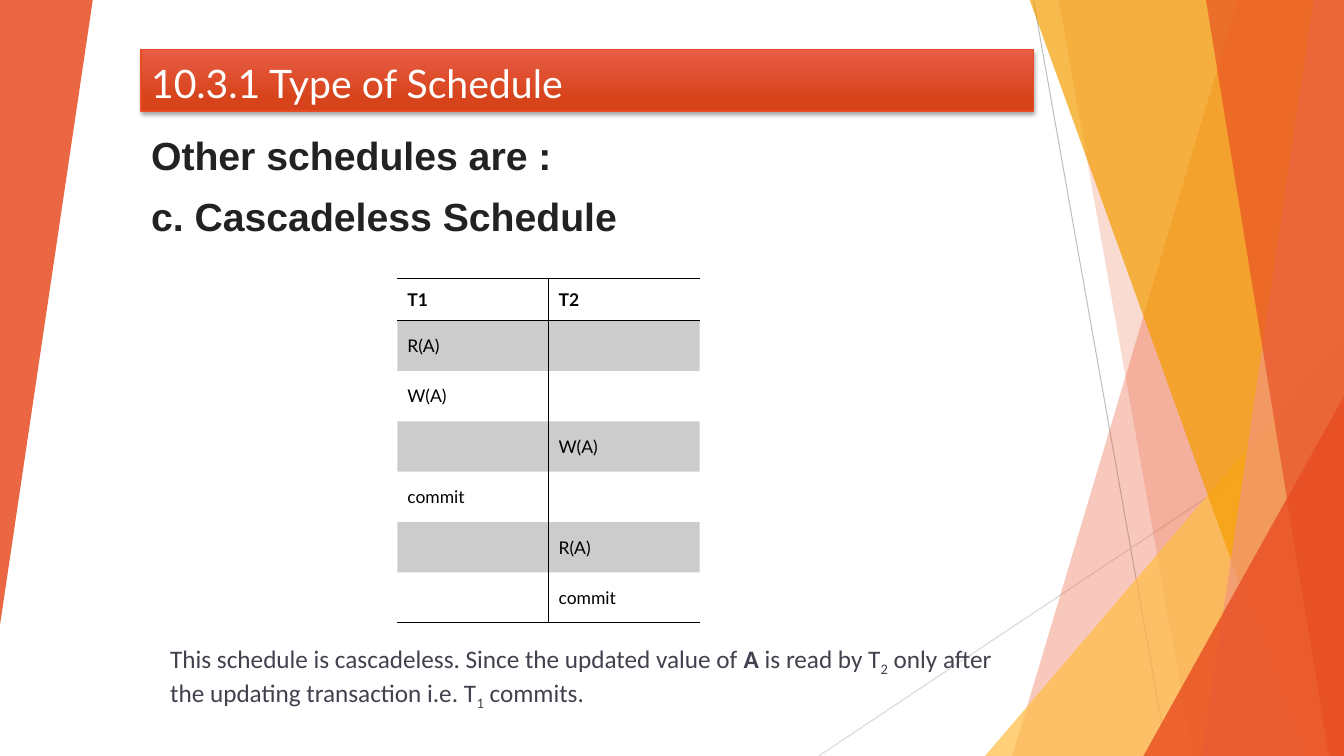
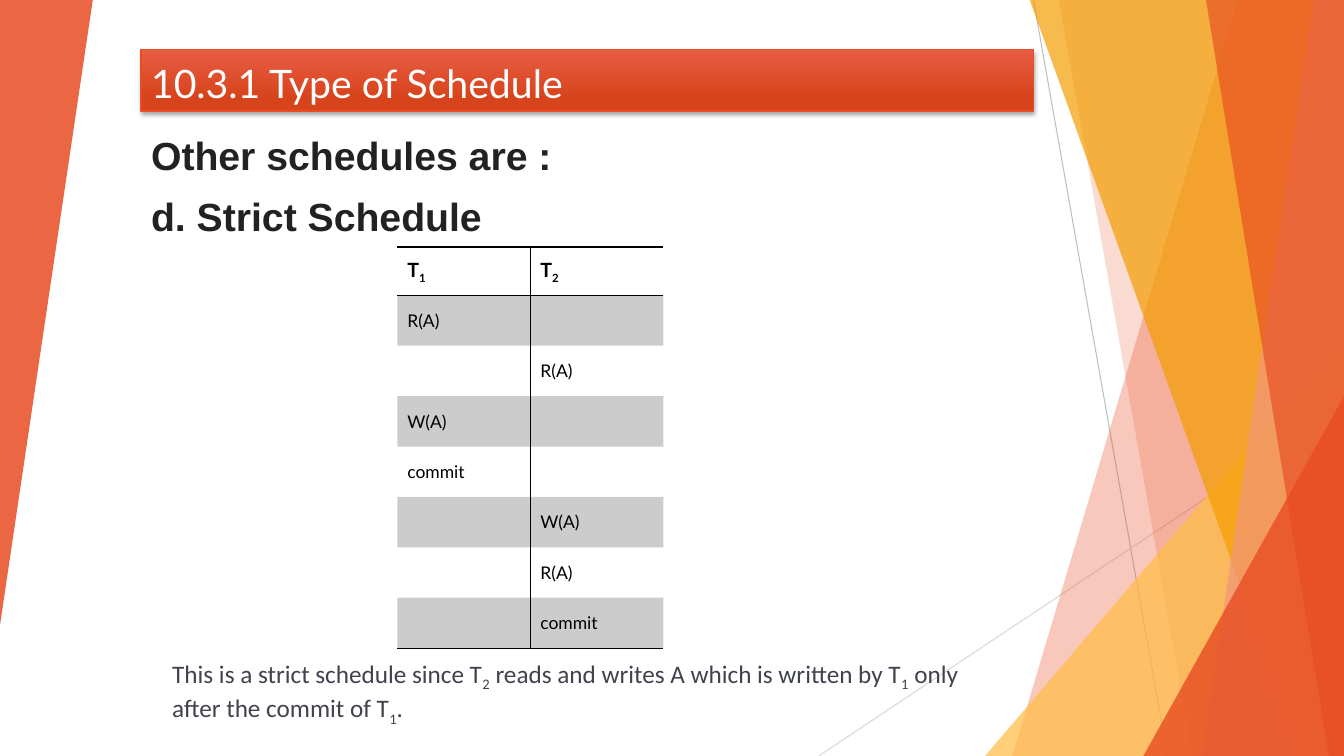
"""Build two slides on types of schedule."""
from dataclasses import dataclass

from lxml.etree import SubElement
from pptx import Presentation
from pptx.dml.color import RGBColor as RGB
from pptx.enum.shapes import MSO_CONNECTOR as Connector, MSO_SHAPE as Shape
from pptx.enum.text import MSO_ANCHOR as Anchor, PP_ALIGN as Align
from pptx.oxml.ns import qn
from pptx.util import Inches, Pt


@dataclass(frozen=True)
class Theme:
    """Colours, fonts and type sizes shared by the slides."""
    red: str = "E84C22"
    amber: str = "F49D00"
    light_amber: str = "FFBD47"
    salmon: str = "F1947A"
    title_top: str = "E95D45"
    title_bottom: str = "D7441C"
    white: str = "FFFFFF"
    black: str = "000000"
    heading: str = "222222"
    caption: str = "40424E"
    dark_rule: str = "BFBFBF"
    light_rule: str = "D9D9D9"
    title_font: str = "Lato"
    heading_font: str = "Arial"
    caption_font: str = "Calibri"
    title_size: float = 28
    caption_size: float = 18
    header_size: float = 14
    cell_size: float = 12.5


THEME = Theme()
WIDTH, HEIGHT = 13.33, 7.5
TABLE_STYLE = "{2D5ABB26-0587-4C30-8999-92F81FD0307C}"

RULES = [
    ((10.25, 0), (11.58, HEIGHT), THEME.dark_rule),
    ((WIDTH, 4.03), (8.12, HEIGHT), THEME.light_rule),
]
FACETS_BEHIND = [
    (12.28, WIDTH, 10.04, THEME.red, 30),
    (10.5, WIDTH, 11.83, THEME.red, 20),
]
FACETS_FRONT = [
    (10.21, WIDTH, 12.91, THEME.amber, 70),
    (13.03, WIDTH, 11.92, THEME.salmon, 70),
    (11.96, WIDTH, 13.18, THEME.red, 65),
]


def set_values(target, values):
    """Set each named attribute on the target."""
    for name, value in values.items():
        setattr(target, name, value)


def inches(box):
    """Turn a box of numbers into lengths."""
    return [Inches(value) for value in box]


def fill_solid(fill, properties, color, opacity):
    """Fill with a colour at an opacity in percent."""
    fill.solid()
    fill.fore_color.rgb = RGB.from_string(color)
    color_element = properties.find(qn("a:solidFill"))[0]
    SubElement(color_element, qn("a:alpha"), val=str(opacity * 1000))


def write_runs(paragraph, runs, font, size, color, bold=False):
    """Write (text, style) runs, where style is plain, bold or sub."""
    for text, style in runs:
        run = paragraph.add_run()
        run.text = text
        set_values(run.font, {"name": font, "size": Pt(size),
                              "bold": bold or style == "bold"})
        run.font.color.rgb = RGB.from_string(color)
        if style == "sub":
            run.font._element.set("baseline", "-25000")


def plain(text):
    """Make a single plain run."""
    return [(text, "plain")]


def subscripted(text, number):
    """Make a text with a subscript number."""
    return [(text, "plain"), (number, "sub")]


def add_rule(slide, start, end, color):
    """Draw a thin straight line."""
    line = slide.shapes.add_connector(Connector.STRAIGHT, *inches(start + end))
    line.line.width = Pt(0.75)
    line.line.color.rgb = RGB.from_string(color)
    SubElement(line._element.spPr, qn("a:effectLst"))


def finish_facet(shape, color, opacity):
    """Give a facet its translucent fill without line or shadow."""
    fill_solid(shape.fill, shape._element.spPr, color, opacity)
    shape.line.fill.background()
    shape.shadow.inherit = False


def add_facet(slide, top_left, right, bottom_left, color, opacity):
    """Draw a full-height facet with a slanted left edge."""
    builder = slide.shapes.build_freeform(Inches(top_left), Inches(-0.01))
    corners = [(right, -0.01), (right, HEIGHT), (bottom_left, HEIGHT)]
    builder.add_line_segments([inches(corner) for corner in corners])
    finish_facet(builder.convert_to_shape(), color, opacity)


def add_triangle(slide, box, color, opacity, rotation=0):
    """Draw a right-angled triangle."""
    shape = slide.shapes.add_shape(Shape.ISOSCELES_TRIANGLE, *inches(box))
    shape.adjustments[0] = 1
    shape.rotation = rotation
    finish_facet(shape, color, opacity)


def add_backdrop(slide):
    """Draw the facets at both slide edges."""
    for rule in RULES:
        add_rule(slide, *rule)
    for facet in FACETS_BEHIND:
        add_facet(slide, *facet)
    add_triangle(slide, (9.77, 3.33, 3.56, 4.17), THEME.light_amber, 72)
    for facet in FACETS_FRONT:
        add_facet(slide, *facet)
    add_triangle(slide, (11.34, 3.93, 1.99, 3.57), THEME.red, 80)
    add_triangle(slide, (0, 0, 0.92, 6.2), THEME.red, 85, 180)


def add_title(slide, box, text):
    """Draw the gradient title band."""
    shape = slide.shapes.add_shape(Shape.RECTANGLE, *inches(box))
    shape.fill.gradient()
    shape.fill.gradient_angle = 270
    stops = [(0, THEME.title_top), (0.78, THEME.title_bottom)]
    for stop, (position, color) in zip(shape.fill.gradient_stops, stops):
        stop.position = position
        stop.color.rgb = RGB.from_string(color)
    shape.line.color.rgb = RGB.from_string(THEME.red)
    shape.line.width = Pt(1)
    shape.shadow.inherit = False
    effects = shape._element.spPr.find(qn("a:effectLst"))
    shadow = SubElement(effects, qn("a:outerShdw"), blurRad=str(Pt(3)),
                        dist=str(Pt(2)), dir="5400000", rotWithShape="0")
    shadow_color = SubElement(shadow, qn("a:srgbClr"), val=THEME.black)
    SubElement(shadow_color, qn("a:alpha"), val="35000")
    set_values(shape.text_frame, {"word_wrap": True,
                                  "vertical_anchor": Anchor.BOTTOM})
    paragraph = shape.text_frame.paragraphs[0]
    paragraph.alignment = Align.LEFT
    write_runs(paragraph, plain(text), THEME.title_font, THEME.title_size,
               THEME.white)


def add_text(slide, box):
    """Add a wrapping text box and return its frame."""
    frame = slide.shapes.add_textbox(*inches(box)).text_frame
    frame.word_wrap = True
    return frame


def add_headings(slide, box, lines):
    """Write the bold heading lines."""
    frame = add_text(slide, box)
    for index, line in enumerate(lines):
        paragraph = frame.add_paragraph() if index else frame.paragraphs[0]
        set_values(paragraph, {"alignment": Align.JUSTIFY,
                               "space_before": Pt(10 if index else 0)})
        write_runs(paragraph, plain(line), THEME.heading_font,
                   THEME.title_size, THEME.heading, True)


def add_caption(slide, box, runs):
    """Write the explanation below the table."""
    paragraph = add_text(slide, box).paragraphs[0]
    write_runs(paragraph, runs, THEME.caption_font, THEME.caption_size,
               THEME.caption)


def add_borders(cell, sides):
    """Draw black borders on the given sides of a cell."""
    properties = cell._tc.get_or_add_tcPr()
    ordered = [side for side in "LRTB" if side in sides]
    for index, side in enumerate(ordered):
        line = SubElement(properties, qn(f"a:ln{side}"), w=str(Pt(1)))
        fill = SubElement(line, qn("a:solidFill"))
        SubElement(fill, qn("a:srgbClr"), val=THEME.black)
        properties.insert(index, line)


def fill_cell(cell, runs, size, is_header, is_banded):
    """Write and fill one table cell."""
    if runs:
        vertical = Inches(0.1 if is_header else 0.14)
        set_values(cell, {"vertical_anchor": Anchor.MIDDLE,
                          "margin_left": Inches(0.1),
                          "margin_right": Inches(0.1),
                          "margin_top": vertical, "margin_bottom": vertical})
        write_runs(cell.text_frame.paragraphs[0], runs, THEME.title_font,
                   size, THEME.black, is_header)
    if is_banded:
        fill_solid(cell.fill, cell._tc.tcPr, THEME.black, 20)
    else:
        cell.fill.background()


def add_schedule(slide, left, top, column_width, header, steps):
    """Draw a two-transaction table; steps are (column, operation)."""
    header_runs, header_height, header_size = header
    row_height = 0.5
    box = (left, top, 2 * column_width,
           header_height + row_height * len(steps))
    table = slide.shapes.add_table(len(steps) + 1, 2, *inches(box)).table
    set_values(table, {"first_row": False, "horz_banding": False})
    table._tbl.tblPr.find(qn("a:tableStyleId")).text = TABLE_STYLE
    for column in table.columns:
        column.width = Inches(column_width)
    rows = [header_runs] + [
        [plain(operation) if index == column else [] for index in range(2)]
        for column, operation in steps]
    for row_index, row in enumerate(rows):
        is_header = row_index == 0
        table.rows[row_index].height = Inches(
            header_height if is_header else row_height)
        for column_index, runs in enumerate(row):
            cell = table.cell(row_index, column_index)
            fill_cell(cell, runs, header_size if is_header
                      else THEME.cell_size, is_header, row_index % 2 == 1)
            sides = "L" if column_index else "R"
            sides += "TB" if is_header else ""
            sides += "B" if row_index == len(steps) else ""
            add_borders(cell, sides)


def add_schedule_slide(presentation, heading, schedule, caption):
    """Build one slide about a type of schedule."""
    slide = presentation.slides.add_slide(presentation.slide_layouts[6])
    add_backdrop(slide)
    add_title(slide, (1.4, 0.49, 8.85, 0.61), "10.3.1 Type of Schedule")
    add_headings(slide, (1.4, 1.25, 8.85, 1.1),
                 ["Other schedules are :", heading])
    add_schedule(slide, 3.94, *schedule)
    add_caption(slide, *caption)


def main():
    """Build and save the presentation."""
    presentation = Presentation()
    set_values(presentation, {"slide_width": Inches(WIDTH),
                              "slide_height": Inches(HEIGHT)})
    add_schedule_slide(
        presentation, "c. Cascadeless Schedule",
        (2.76, 1.5, ([plain("T1"), plain("T2")], 0.42, THEME.cell_size),
         [(0, "R(A)"), (0, "W(A)"), (1, "W(A)"), (0, "commit"),
          (1, "R(A)"), (1, "commit")]),
        ((1.59, 6.33, 8.54, 0.71),
         [("This schedule is cascadeless. Since the updated value of ",
           "plain"), ("A", "bold"),
          *subscripted(" is read by T", "2"),
          *subscripted(" only after the updating transaction i.e. T", "1"),
          *plain(" commits.")]))
    add_schedule_slide(
        presentation, "d. Strict Schedule",
        (2.45, 1.32, ([subscripted("T", "1"), subscripted("T", "2")],
                      0.48, THEME.header_size),
         [(0, "R(A)"), (1, "R(A)"), (0, "W(A)"), (0, "commit"),
          (1, "W(A)"), (1, "R(A)"), (1, "commit")]),
        ((1.61, 6.48, 8.44, 0.71),
         [*subscripted("This is a strict schedule since T", "2"),
          *subscripted(" reads and writes A which is written by T", "1"),
          *subscripted(" only after the commit of T", "1"), *plain(".")]))
    presentation.save("out.pptx")


if __name__ == "__main__":
    main()
